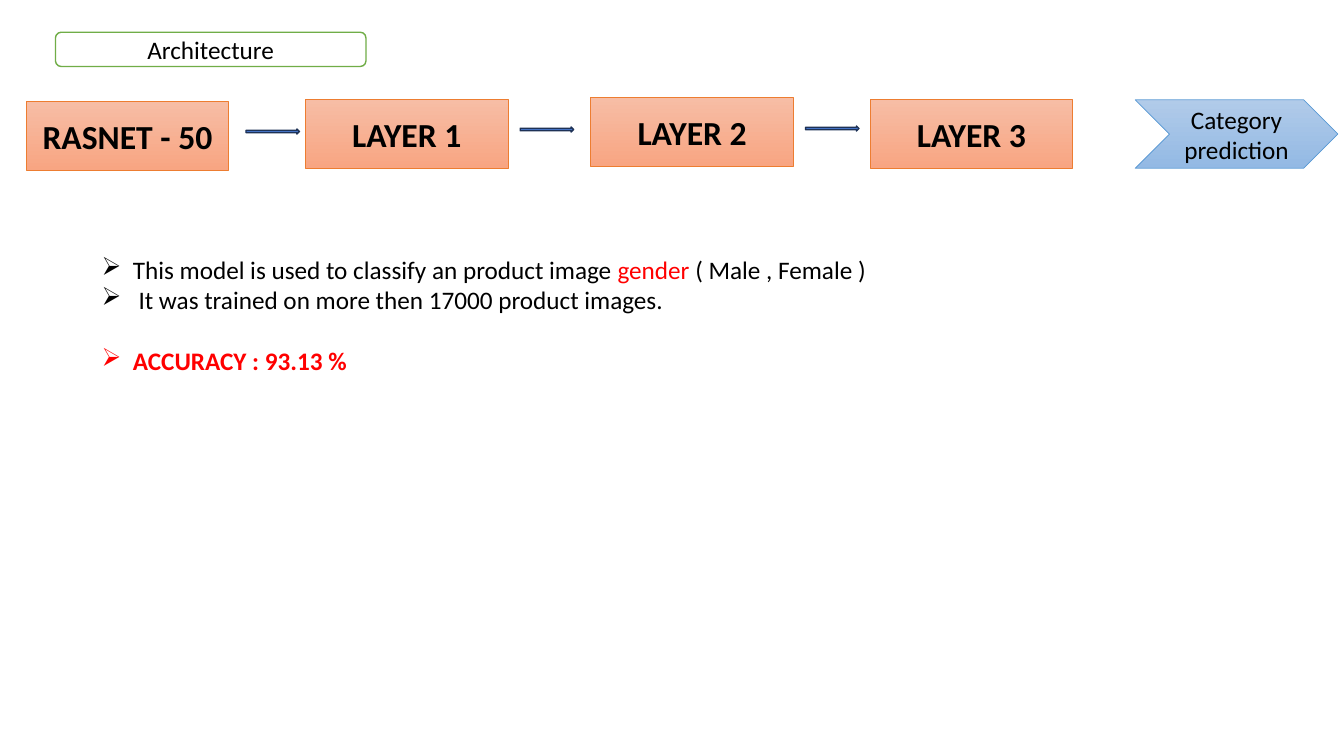
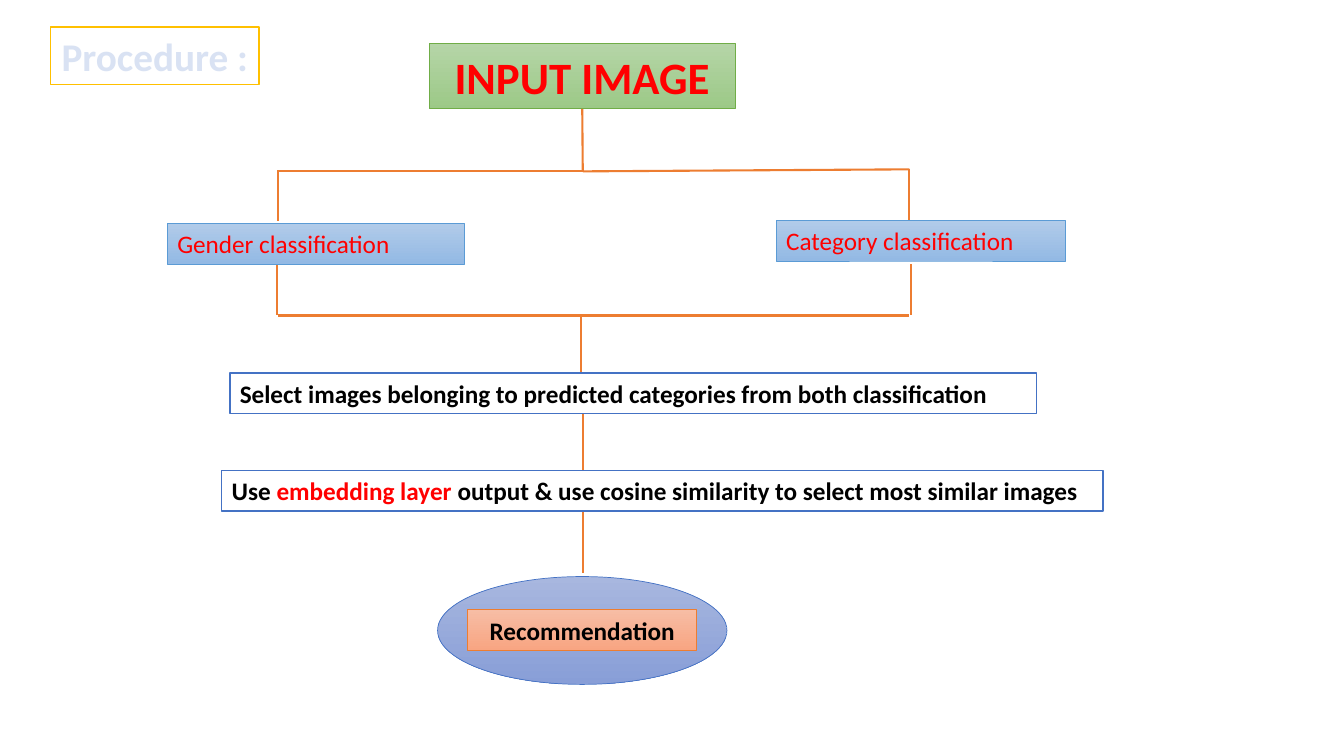
import pptx
import pptx.util
import pptx.dml.color
import pptx.enum.shapes
import pptx.enum.text
import pptx.oxml.ns
import lxml.etree

Inches = pptx.util.Inches
Pt = pptx.util.Pt
RGBColor = pptx.dml.color.RGBColor
MSO_SHAPE = pptx.enum.shapes.MSO_SHAPE
PP_ALIGN = pptx.enum.text.PP_ALIGN
MSO_ANCHOR = pptx.enum.text.MSO_ANCHOR
qn = pptx.oxml.ns.qn

BLACK = RGBColor(0x00, 0x00, 0x00)
WHITE = RGBColor(0xFF, 0xFF, 0xFF)
RED = RGBColor(0xFF, 0x00, 0x00)
ORANGE = RGBColor(0xED, 0x7D, 0x31)
GREEN = RGBColor(0x70, 0xAD, 0x47)
GOLD = RGBColor(0xFF, 0xC0, 0x00)
BLUE = RGBColor(0x44, 0x72, 0xC4)
SKY = RGBColor(0x5B, 0x9B, 0xD5)
NAVY = RGBColor(0x1E, 0x32, 0x56)
PALE_BLUE = RGBColor(0xD9, 0xE2, 0xF3)
ORANGE_FADE = (RGBColor(0xF7, 0xBD, 0xA5), RGBColor(0xF8, 0xA5, 0x82))
SKY_FADE = (RGBColor(0xB1, 0xCB, 0xE9), RGBColor(0x93, 0xB9, 0xE4))
GREEN_FADE = (RGBColor(0xB5, 0xD5, 0xA7), RGBColor(0x9C, 0xC9, 0x87))
BLUE_FADE = (RGBColor(0xA8, 0xB7, 0xDF), RGBColor(0x88, 0x9E, 0xD7))
FONT = "Calibri"


def add_box(slide, kind, box, fill, line, width=0.5):
    sp = slide.shapes.add_shape(kind, *[Inches(v) for v in box])
    sp.shadow.inherit = False
    if isinstance(fill, RGBColor):
        sp.fill.solid()
        sp.fill.fore_color.rgb = fill
    else:
        sp.fill.gradient()
        sp.fill.gradient_angle = 270
        for stop, color in zip(sp.fill.gradient_stops, fill):
            stop.color.rgb = color
    sp.line.color.rgb = line
    sp.line.width = Pt(width)
    sp.text_frame.vertical_anchor = MSO_ANCHOR.MIDDLE
    return sp


def write(p, text, size=18, color=BLACK, bold=False, align=PP_ALIGN.CENTER):
    p.alignment = align
    for part in [text] if isinstance(text, str) else text:
        words, run_color = (part, color) if isinstance(part, str) else part
        r = p.add_run()
        r.text = words
        r.font.name = FONT
        r.font.size = Pt(size)
        r.font.bold = bold
        r.font.color.rgb = run_color


prs = pptx.Presentation()
prs.slide_width = Inches(13.33)
prs.slide_height = Inches(7.5)
blank = prs.slide_layouts[6]

slide = prs.slides.add_slide(blank)
sp = add_box(slide, MSO_SHAPE.ROUNDED_RECTANGLE, (0.55, 0.32, 3.08, 0.34), WHITE, GREEN, 1)
write(sp.text_frame.paragraphs[0], "Architecture")

layers = [("RASNET - 50", 0.26, 1.01), ("LAYER 1", 3.03, 0.99),
          ("LAYER 2", 5.86, 0.97), ("LAYER 3", 8.63, 0.99)]
for label, x, y in layers:
    sp = add_box(slide, MSO_SHAPE.RECTANGLE, (x, y, 2.01, 0.68), ORANGE_FADE, ORANGE)
    write(sp.text_frame.paragraphs[0], label, size=24, bold=True)
for x, y in [(2.44, 1.28), (5.16, 1.26), (7.99, 1.25)]:
    add_box(slide, MSO_SHAPE.RIGHT_ARROW, (x, y, 0.53, 0.05), BLUE, NAVY, 1)
sp = add_box(slide, MSO_SHAPE.CHEVRON, (11.26, 0.99, 2.01, 0.68), SKY_FADE, SKY)
write(sp.text_frame.paragraphs[0], "Category prediction")

tf = slide.shapes.add_textbox(Inches(0.91), Inches(2.47), Inches(11.83), Inches(1.62)).text_frame
tf.word_wrap = True
bullets = [
    (["This model is used to classify an product image ", ("gender", RED), " ( Male , Female )"], {}, 0),
    (" It was trained on more then 17000 product images.", {}, 0),
    ("ACCURACY : 93.13 %", {"color": RED, "bold": True}, 22),
]
for i, (text, style, before) in enumerate(bullets):
    p = tf.add_paragraph() if i else tf.paragraphs[0]
    pPr = p._p.get_or_add_pPr()
    pPr.set("marL", str(Inches(0.31)))
    pPr.set("indent", str(-Inches(0.31)))
    lxml.etree.SubElement(pPr, qn("a:buChar")).set("char", "➢")
    if before:
        p.space_before = Pt(before)
    write(p, text, align=PP_ALIGN.LEFT, **style)

slide = prs.slides.add_slide(blank)
sp = add_box(slide, MSO_SHAPE.RECTANGLE, (0.5, 0.27, 2.07, 0.57), WHITE, GOLD, 1)
write(sp.text_frame.paragraphs[0], "Procedure :", size=28, color=PALE_BLUE, bold=True)
input_box = add_box(slide, MSO_SHAPE.RECTANGLE, (4.26, 0.43, 3.03, 0.65), GREEN_FADE, GREEN)
write(input_box.text_frame.paragraphs[0], "INPUT IMAGE", size=32, color=RED, bold=True)

links = [
    (5.78, 1.08, 5.78, 1.7), (2.76, 1.7, 5.78, 1.7), (5.78, 1.7, 9.02, 1.68),
    (2.76, 1.69, 2.76, 2.19), (9.02, 1.68, 9.02, 2.19),
    (2.75, 2.62, 2.75, 3.13), (9.04, 2.62, 9.04, 3.13), (2.76, 3.13, 9.02, 3.13),
    (5.76, 3.14, 5.76, 3.75), (5.78, 4.11, 5.78, 4.72), (5.78, 5.07, 5.78, 5.68),
]
for i, ends in enumerate(links):
    cn = slide.shapes.add_connector(pptx.enum.shapes.MSO_CONNECTOR.STRAIGHT, *[Inches(v) for v in ends])
    cn.line.color.rgb = ORANGE
    cn.line.width = Pt(1.5)
    lxml.etree.SubElement(cn._element.spPr, qn("a:effectLst"))
    if i == 0:
        cn.begin_connect(input_box, 2)

add_box(slide, MSO_SHAPE.OVAL, (4.34, 5.72, 2.87, 1.07), BLUE_FADE, BLUE)
left = {"align": PP_ALIGN.LEFT}
steps = [
    ("Gender classification", (1.66, 2.22, 2.95), SKY_FADE, SKY, 0.5, {"color": RED, **left}),
    ("Category classification", (7.7, 2.19, 2.87), SKY_FADE, SKY, 0.5, {"color": RED, **left}),
    ("Select images belonging to predicted categories from both classification",
     (2.28, 3.7, 8), WHITE, BLUE, 1, {"bold": True, **left}),
    (["Use ", ("embedding layer ", RED),
      "output & use cosine similarity to select most similar images"],
     (2.2, 4.67, 8.74), WHITE, BLUE, 1, {"bold": True, **left}),
    ("Recommendation", (4.64, 6.05, 2.27), ORANGE_FADE, ORANGE, 0.5, {"bold": True}),
]
for text, place, fill, line, width, style in steps:
    sp = add_box(slide, MSO_SHAPE.RECTANGLE, (*place, 0.4), fill, line, width)
    write(sp.text_frame.paragraphs[0], text, **style)

prs.save("out.pptx")
